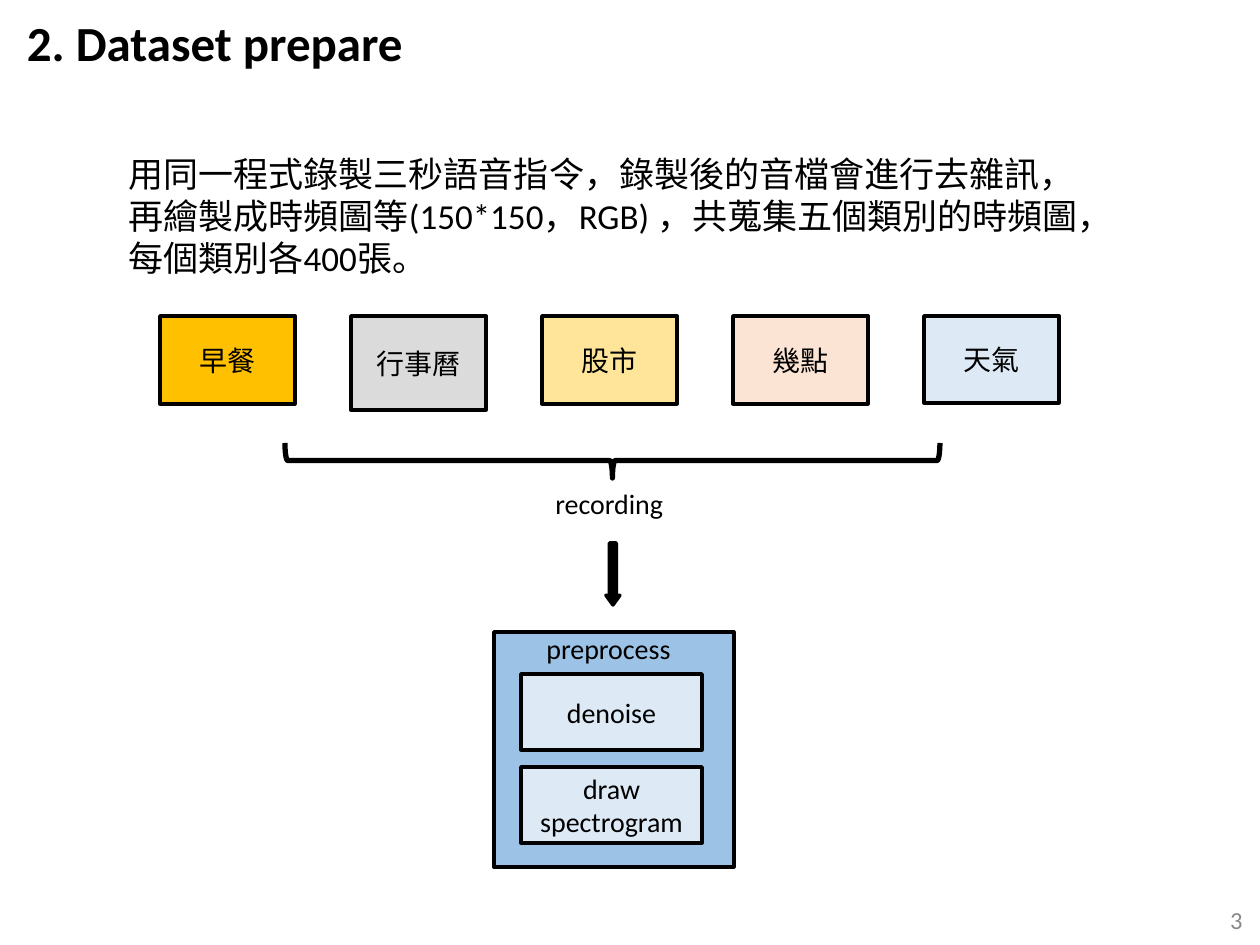
"""Build the dataset preparation slide: voice commands, recording and preprocessing."""
from dataclasses import dataclass
from typing import NamedTuple, Optional

from pptx import Presentation
from pptx.dml.color import RGBColor
from pptx.enum.shapes import MSO_SHAPE
from pptx.enum.text import MSO_ANCHOR, PP_ALIGN
from pptx.util import Emu, Pt

EMU_PER_PX = 914400 / 126


@dataclass(frozen=True)
class Theme:
    font: str = "Calibri"
    ink: str = "000000"
    muted: str = "888888"
    amber: str = "FFC000"
    gray: str = "DBDBDB"
    yellow: str = "FEE599"
    peach: str = "FBE4D4"
    pale_blue: str = "DDEAF6"
    blue: str = "9CC2E5"
    title: int = 28
    body: int = 20
    label: int = 16
    small: int = 14
    outline: int = 2
    brace: int = 3


class Box(NamedTuple):
    left: int
    top: int
    width: int
    height: int


class Run(NamedTuple):
    text: str
    size: int
    color: str = Theme.ink
    bold: bool = False


class Category(NamedTuple):
    name: str
    fill: str
    height: int = 88


class Label(NamedTuple):
    box: Box
    run: Run
    align: PP_ALIGN = PP_ALIGN.LEFT
    anchor: MSO_ANCHOR = MSO_ANCHOR.TOP


T = Theme()
CATEGORY_LEFT, CATEGORY_TOP, CATEGORY_WIDTH, CATEGORY_PITCH = 160, 316, 135, 191
CATEGORIES = (
    Category("早餐", T.amber),
    Category("行事曆", T.gray, 94),
    Category("股市", T.yellow),
    Category("幾點", T.peach),
    Category("天氣", T.pale_blue, 87),
)
STEP_LEFT, STEP_TOP, STEP_WIDTH, STEP_HEIGHT, STEP_PITCH = 521, 674, 181, 76, 93
STEPS = (
    (Run("denoise", T.label),),
    (Run("draw", T.label), Run(" ", T.small), Run("spectrogram", T.label)),
)
INTRO = (
    "用同一程式錄製三秒語音指令，錄製後的音檔會進行去雜訊，再繪製成時頻圖等"
    "(150*150，RGB) ，共蒐集五個類別的時頻圖，每個類別各400張。"
)
LABELS = (
    Label(Box(116, 146, 987, 140), Run(INTRO, T.body)),
    Label(Box(971, 895, 284, 50), Run("3", T.small, T.muted),
          PP_ALIGN.RIGHT, MSO_ANCHOR.MIDDLE),
    Label(Box(543, 480, 151, 49), Run("recording", T.label)),
    Label(Box(534, 625, 170, 49), Run("preprocess", T.label)),
)


def px(value: int) -> Emu:
    """Turn pixels into EMU."""
    return Emu(round(value * EMU_PER_PX))


def write(sp, runs: tuple[Run, ...], align: PP_ALIGN, anchor: MSO_ANCHOR):
    """Write the runs into the first paragraph and return the text frame."""
    tf = sp.text_frame
    tf.word_wrap = True
    tf.vertical_anchor = anchor
    p = tf.paragraphs[0]
    p.alignment = align
    for run in runs:
        r = p.add_run()
        r.text = run.text
        r.font.name = T.font
        r.font.size = Pt(run.size)
        r.font.bold = run.bold
        r.font.color.rgb = RGBColor.from_string(run.color)
    return tf


def add_label(s, label: Label):
    """Add a text box and return its text frame."""
    sp = s.shapes.add_textbox(*map(px, label.box))
    return write(sp, (label.run,), label.align, label.anchor)


def add_figure(s, kind: MSO_SHAPE, box: Box, fill: Optional[str],
               runs: tuple[Run, ...] = (), line: int = T.outline):
    """Add an outlined preset shape with centred text."""
    sp = s.shapes.add_shape(kind, *map(px, box))
    sp.shadow.inherit = False
    if fill:
        sp.fill.solid()
        sp.fill.fore_color.rgb = RGBColor.from_string(fill)
    else:
        sp.fill.background()
    sp.line.color.rgb = RGBColor.from_string(T.ink)
    sp.line.width = Pt(line)
    if runs:
        write(sp, runs, PP_ALIGN.CENTER, MSO_ANCHOR.MIDDLE)
    return sp


def add_title(s) -> None:
    """Add the slide title."""
    tf = add_label(s, Label(Box(0, 3, 1260, 86),
                            Run("2. Dataset prepare", T.title, bold=True),
                            anchor=MSO_ANCHOR.MIDDLE))
    tf.margin_left = px(27)
    tf.margin_right = tf.margin_top = tf.margin_bottom = px(13)
    tf.paragraphs[0].line_spacing = 0.9


def add_categories(s) -> None:
    """Add the row of command categories and the brace below it."""
    for i, category in enumerate(CATEGORIES):
        box = Box(CATEGORY_LEFT + i * CATEGORY_PITCH, CATEGORY_TOP,
                  CATEGORY_WIDTH, category.height)
        add_figure(s, MSO_SHAPE.RECTANGLE, box, category.fill,
                   (Run(category.name, T.label),))
    brace = add_figure(s, MSO_SHAPE.LEFT_BRACE, Box(595, 133, 35, 655),
                       None, line=T.brace)
    brace.rotation = 270
    brace.adjustments[0] = 0.08


def add_preprocessing(s) -> None:
    """Add the arrow and the panel of preprocessing steps."""
    arrow = add_figure(s, MSO_SHAPE.DOWN_ARROW, Box(606, 543, 14, 62), T.ink)
    arrow.adjustments[1] = 0.69
    add_figure(s, MSO_SHAPE.RECTANGLE, Box(494, 632, 240, 235), T.blue)
    for i, runs in enumerate(STEPS):
        box = Box(STEP_LEFT, STEP_TOP + i * STEP_PITCH, STEP_WIDTH, STEP_HEIGHT)
        add_figure(s, MSO_SHAPE.RECTANGLE, box, T.pale_blue, runs)


def main() -> None:
    """Build and save the slide."""
    prs = Presentation()
    prs.slide_width, prs.slide_height = px(1260), px(945)
    s = prs.slides.add_slide(prs.slide_layouts[6])
    add_title(s)
    add_categories(s)
    add_preprocessing(s)
    for label in LABELS:
        add_label(s, label)
    prs.save("out.pptx")


if __name__ == "__main__":
    main()
